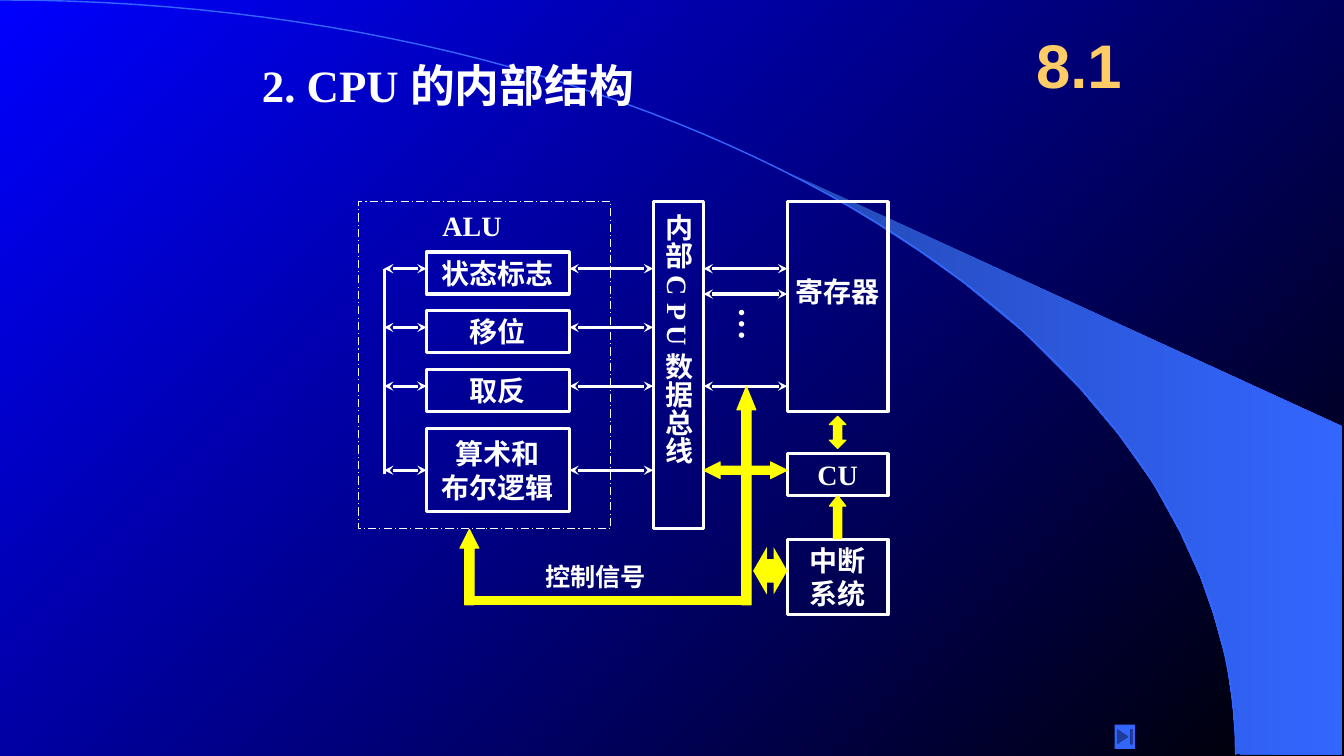
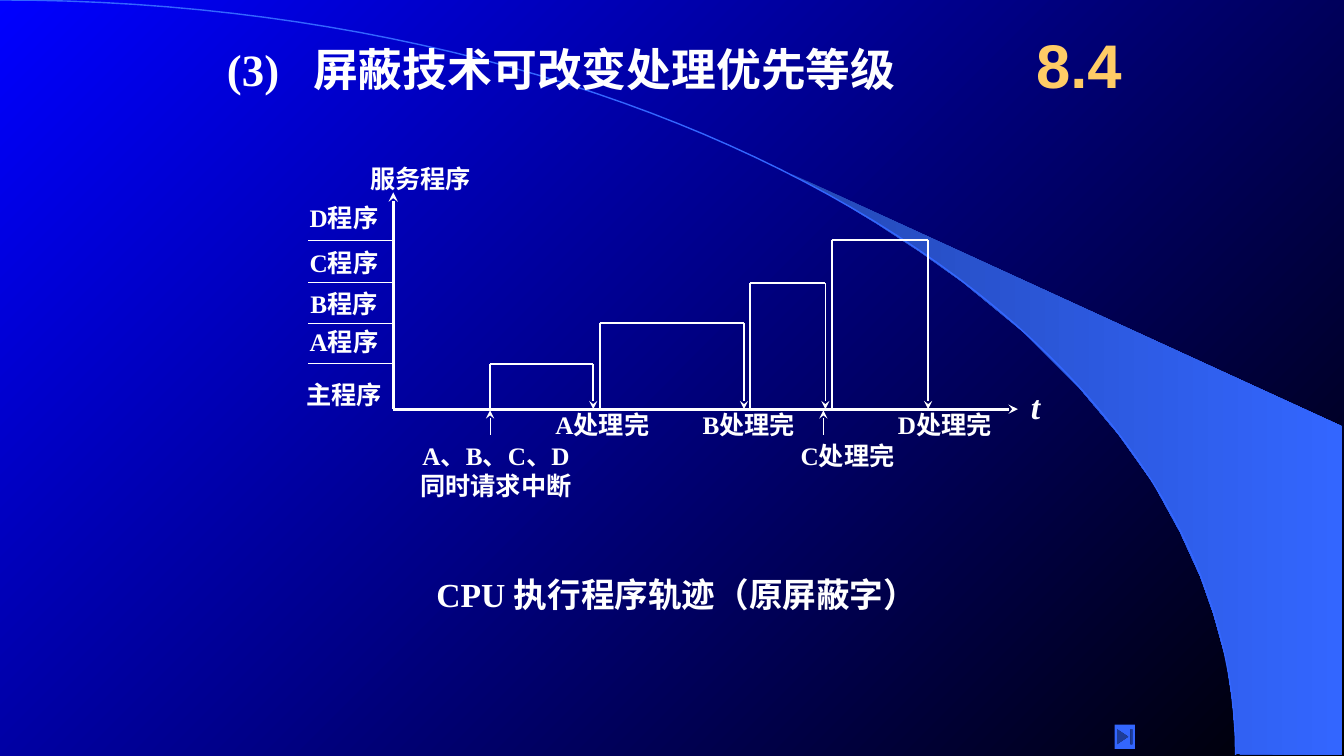
"""Build two slides: CPU internal structure and masked interrupt priority."""
from dataclasses import dataclass
from math import isclose

from lxml import etree
from pptx import Presentation
from pptx.dml.color import RGBColor
from pptx.enum.dml import MSO_LINE
from pptx.enum.shapes import MSO_CONNECTOR, MSO_SHAPE
from pptx.enum.text import MSO_ANCHOR, PP_ALIGN
from pptx.oxml.ns import qn
from pptx.util import Cm, Pt

RECT = MSO_SHAPE.RECTANGLE
UP = MSO_SHAPE.UP_ARROW
BOTH_WAYS = MSO_SHAPE.LEFT_RIGHT_ARROW
UP_DOWN = MSO_SHAPE.UP_DOWN_ARROW
END_BUTTON = MSO_SHAPE.ACTION_BUTTON_END
STRAIGHT = MSO_CONNECTOR.STRAIGHT
DASH_DOT = MSO_LINE.LONG_DASH_DOT
LEFT, CENTER = PP_ALIGN.LEFT, PP_ALIGN.CENTER
TOP, MIDDLE = MSO_ANCHOR.TOP, MSO_ANCHOR.MIDDLE
LEFT_SIDE, RIGHT_SIDE = 1, 3


@dataclass(frozen=True)
class Theme:
    white: RGBColor = RGBColor(0xFF, 0xFF, 0xFF)
    yellow: RGBColor = RGBColor(0xFF, 0xFF, 0x00)
    gold: RGBColor = RGBColor(0xFF, 0xCC, 0x66)
    sky: RGBColor = RGBColor(0x33, 0x66, 0xFF)
    steel: RGBColor = RGBColor(0x24, 0x49, 0xB6)
    blue: RGBColor = RGBColor(0x00, 0x00, 0xFF)
    black: RGBColor = RGBColor(0x00, 0x00, 0x00)
    serif: str = "Times New Roman"
    sans: str = "Arial"
    section: int = 44
    title: int = 32
    caption: int = 24
    body: int = 20
    label: int = 18
    thick: float = 2.25
    medium: float = 1.5
    fine: float = 1
    thin: float = 0.75


THEME = Theme()
BLADE = [(31.17, 19), (33.81, 19.02), (33.81, 10.74), (19.96, 4.39),
         (21.13, 5.05), (22.1, 5.64), (23.19, 6.35), (24.26, 7.11),
         (25.81, 8.38), (27.18, 9.75), (28.19, 10.95), (29.06, 12.17),
         (29.74, 13.41), (30.25, 14.53), (30.58, 15.47), (30.91, 16.66),
         (31.06, 17.68)]
ARC_WIDTH, ARC_HEIGHT = 31.14, 19.02
ARC_PULL_X, ARC_PULL_Y = 17.2, 8.51
ARC_STEPS = 60


def arc_point(t):
    s = 1 - t
    x = 3 * s * s * t * ARC_PULL_X + (3 * s * t * t + t ** 3) * ARC_WIDTH
    y = 3 * s * t * t * ARC_PULL_Y + t ** 3 * ARC_HEIGHT
    return x, y


class Deck:
    def __init__(self):
        self.prs = Presentation()
        self.prs.slide_width, self.prs.slide_height = Cm(33.87), Cm(19.05)
        self.gradient(self.prs.slide_master.background.fill,
                      THEME.blue, THEME.black, 315)
        self.slide = None

    def gradient(self, fill, first, last, angle):
        fill.gradient()
        fill.gradient_angle = angle
        for stop, color in zip(fill.gradient_stops, (first, last)):
            stop.color.rgb = color

    def outline(self, points, close):
        start, *rest = [(Cm(x), Cm(y)) for x, y in points]
        builder = self.slide.shapes.build_freeform(*start)
        builder.add_line_segments(rest, close=close)
        shape = builder.convert_to_shape()
        shape.shadow.inherit = False
        return shape

    def new_slide(self, section):
        self.slide = self.prs.slides.add_slide(self.prs.slide_layouts[6])
        blade = self.outline(BLADE, True)
        self.gradient(blade.fill, THEME.steel, THEME.sky, 0)
        blade.line.fill.background()
        arc = self.outline([arc_point(i / ARC_STEPS)
                            for i in range(ARC_STEPS + 1)], False)
        arc.fill.background()
        self.stroke(arc.line, THEME.sky, THEME.fine)
        self.text((25.6, 0.43, 3.18, 2.34), [section], THEME.section,
                  CENTER, MIDDLE, color=THEME.gold, font=THEME.sans)
        self.shape(END_BUTTON, (28.09, 18.26, 0.51, 0.61), fill=THEME.sky)

    def stroke(self, line, color, width):
        line.color.rgb = color
        line.width = Pt(width)

    def set_text(self, holder, lines, size, align=LEFT, anchor=TOP,
                 top_inset=0, vertical=False, color=THEME.white,
                 font=THEME.serif, italic=False, tab=None):
        frame = holder.text_frame
        frame.word_wrap = True
        frame.vertical_anchor = anchor
        frame.margin_left = frame.margin_right = frame.margin_bottom = 0
        frame.margin_top = Cm(top_inset)
        if vertical:
            holder.element.find(".//" + qn("a:bodyPr")).set("vert", "eaVert")
        for index, words in enumerate(lines):
            paragraph = frame.add_paragraph() if index else frame.paragraphs[0]
            paragraph.alignment = align
            if tab:
                stops = etree.SubElement(paragraph._p.get_or_add_pPr(),
                                         qn("a:tabLst"))
                etree.SubElement(stops, qn("a:tab"),
                                 pos=str(Cm(tab)), algn="l")
            run = paragraph.add_run()
            run.text = words
            run.font.name = font
            run.font.size = Pt(size)
            run.font.bold = True
            run.font.italic = italic
            run.font.color.rgb = color

    def text(self, place, lines, size, align=LEFT, anchor=TOP, **style):
        box = self.slide.shapes.add_textbox(*map(Cm, place))
        self.set_text(box, lines, size, align, anchor, **style)

    def title(self, words, left, top, tab=None):
        self.text((left, top, 18.5, 1.2), [words], THEME.title,
                  anchor=MIDDLE, tab=tab)

    def shape(self, kind, place, fill=None, edge=None, width=THEME.thin,
              adjust=()):
        shape = self.slide.shapes.add_shape(kind, *map(Cm, place))
        shape.shadow.inherit = False
        if fill is None:
            shape.fill.background()
        else:
            shape.fill.solid()
            shape.fill.fore_color.rgb = fill
        if edge is None:
            shape.line.fill.background()
        else:
            self.stroke(shape.line, edge, width)
        for index, value in enumerate(adjust):
            shape.adjustments[index] = value
        return shape

    def unit(self, place, lines, anchor=MIDDLE, **style):
        unit = self.shape(RECT, place, edge=THEME.white, width=THEME.thick)
        self.set_text(unit, lines, THEME.body, CENTER, anchor, **style)
        return unit

    def signal(self, kind, place, adjust=()):
        self.shape(kind, place, THEME.yellow, THEME.yellow, adjust=adjust)

    def line(self, start, end, width, head=False, tail=False):
        line = self.slide.shapes.add_connector(
            STRAIGHT, *map(Cm, (*start, *end)))
        self.stroke(line.line, THEME.white, width)
        properties = line.element.spPr
        for wanted, tag in ((head, "a:headEnd"), (tail, "a:tailEnd")):
            if wanted:
                etree.SubElement(properties.find(qn("a:ln")), qn(tag),
                                 type="stealth")
        etree.SubElement(properties, qn("a:effectLst"))
        return line

    def link(self, left, right, y):
        return self.line((left, y), (right, y), THEME.thick, True, True)


def cpu_structure(deck):
    deck.new_slide("8.1")
    deck.title("2. CPU 的内部结构", 6.6, 1.53)

    spine, alu_left, alu_width = 9.68, 10.75, 3.6
    alu_right, bus_left, bus_right, unit_left = 14.35, 16.46, 17.73, 19.84
    first_top, pitch, low, drop = 6.35, 1.48, 1.06, 0.42
    first_link = first_top + drop

    frame = deck.shape(RECT, (9.04, 5.08, 6.35, 8.25), edge=THEME.white)
    frame.line.dash_style = DASH_DOT
    deck.text((11.15, 5.26, 2, 0.9), ["ALU"], THEME.body)
    deck.unit((bus_left, 5.08, 1.27, 8.25), ["内部 C P U 数据总线"],
              vertical=True, top_inset=0.3)
    deck.unit((unit_left, 5.08, 2.54, 5.29), ["寄存器"], TOP, top_inset=1.83)
    deck.unit((unit_left, 11.43, 2.54, 1.06), ["CU"])
    deck.unit((unit_left, 13.59, 2.54, 1.9), ["中断", "系统"])

    rows = [([name], first_top + i * pitch, low, first_link + i * pitch)
            for i, name in enumerate(("状态标志", "移位", "取反"))]
    rows.append((["算术和", "布尔逻辑"], 10.8, 2.1, 11.85))
    for lines, top, height, y in rows:
        operation = deck.unit((alu_left, top, alu_width, height), lines)
        inward = deck.link(spine, alu_left, y)
        outward = deck.link(alu_right, bus_left, y)
        if isclose(top + height / 2, y):
            inward.end_connect(operation, LEFT_SIDE)
            outward.begin_connect(operation, RIGHT_SIDE)
    deck.line((spine, first_link), (spine, 11.94), THEME.thick)

    for y in (first_link, 7.41, first_link + 2 * pitch):
        deck.link(bus_right, unit_left, y)
    deck.text((18.2, 7.75, 1.55, 1.9), ["…"], THEME.caption, CENTER, MIDDLE,
              vertical=True)

    deck.signal(BOTH_WAYS, (bus_right, 11.64, 2.11, 0.42), (0.5, 1))
    deck.signal(UP, (20.9, 12.49, 0.42, 1.08), (0.5, 0.63))
    deck.signal(UP, (18.57, 9.74, 0.48, 5.5), (0.5, 1.23))
    deck.signal(UP, (11.59, 13.34, 0.48, 1.9), (0.5, 0.99))
    deck.signal(RECT, (11.8, 15.03, 6.98, 0.21))
    deck.signal(UP_DOWN, (20.9, 10.49, 0.42, 0.81), (0.5, 0.5))
    deck.shape(BOTH_WAYS, (18.98, 13.79, 0.86, 1.19), THEME.yellow,
               adjust=(0.5, 0.4))
    deck.text((13.74, 14.15, 3, 0.9), ["控制信号"], THEME.label)


def masked_priority(deck):
    deck.new_slide("8.4")
    deck.title("(3)\t屏蔽技术可改变处理优先等级", 5.72, 1.12, tab=2.17)

    axis_x, base, tick_left = 9.91, 10.31, 7.77
    deck.line((axis_x, base), (25.65, base), THEME.thick, tail=True)
    deck.line((axis_x, 4.85), (axis_x, base), THEME.thick, head=True)
    deck.text((8.86, 4.11, 3.48, 0.97), ["服务程序"], THEME.label, CENTER)
    deck.text((25.45, 9.73, 1.3, 0.94), ["t"], THEME.caption, CENTER,
              italic=True)

    for name, top in (("主", 9.55), ("A", 8.23), ("B", 7.26),
                      ("C", 6.22), ("D", 5.11)):
        deck.text((7.54, top, 2.26, 0.94), [name + "程序"], THEME.label,
                  CENTER)

    services = (("A", 9.17, 12.35, 14.95, THEME.medium, 15.18, base),
                ("B", 8.15, 15.11, 18.75, THEME.fine, 18.87, base),
                ("C", 7.13, 18.91, 20.8, THEME.fine, 21.36, 11.1),
                ("D", 6.05, 20.96, 23.39, THEME.medium, 23.81, base))
    for name, level, start, end, fall, middle, top in services:
        deck.line((tick_left, level), (axis_x, level), THEME.thin)
        deck.line((start, level), (start, base), THEME.medium)
        deck.line((start, level), (end, level), THEME.medium)
        deck.line((end, level), (end, base), fall, tail=True)
        deck.text((middle - 1.55, top, 3.1, 0.9), [name + "处理完"],
                  THEME.label, CENTER)

    for x in (12.35, 20.75):
        deck.line((x, 10.34), (x, 10.97), THEME.thin, head=True)
    deck.text((10.57, 11.1, 3.86, 1.45), ["A、B、C、D", "同时请求中断"],
              THEME.label, CENTER)
    deck.text((11, 14.45, 14, 1.27), ["CPU 执行程序轨迹（原屏蔽字）"],
              THEME.caption)


def main():
    deck = Deck()
    cpu_structure(deck)
    masked_priority(deck)
    deck.prs.save("out.pptx")


if __name__ == "__main__":
    main()
